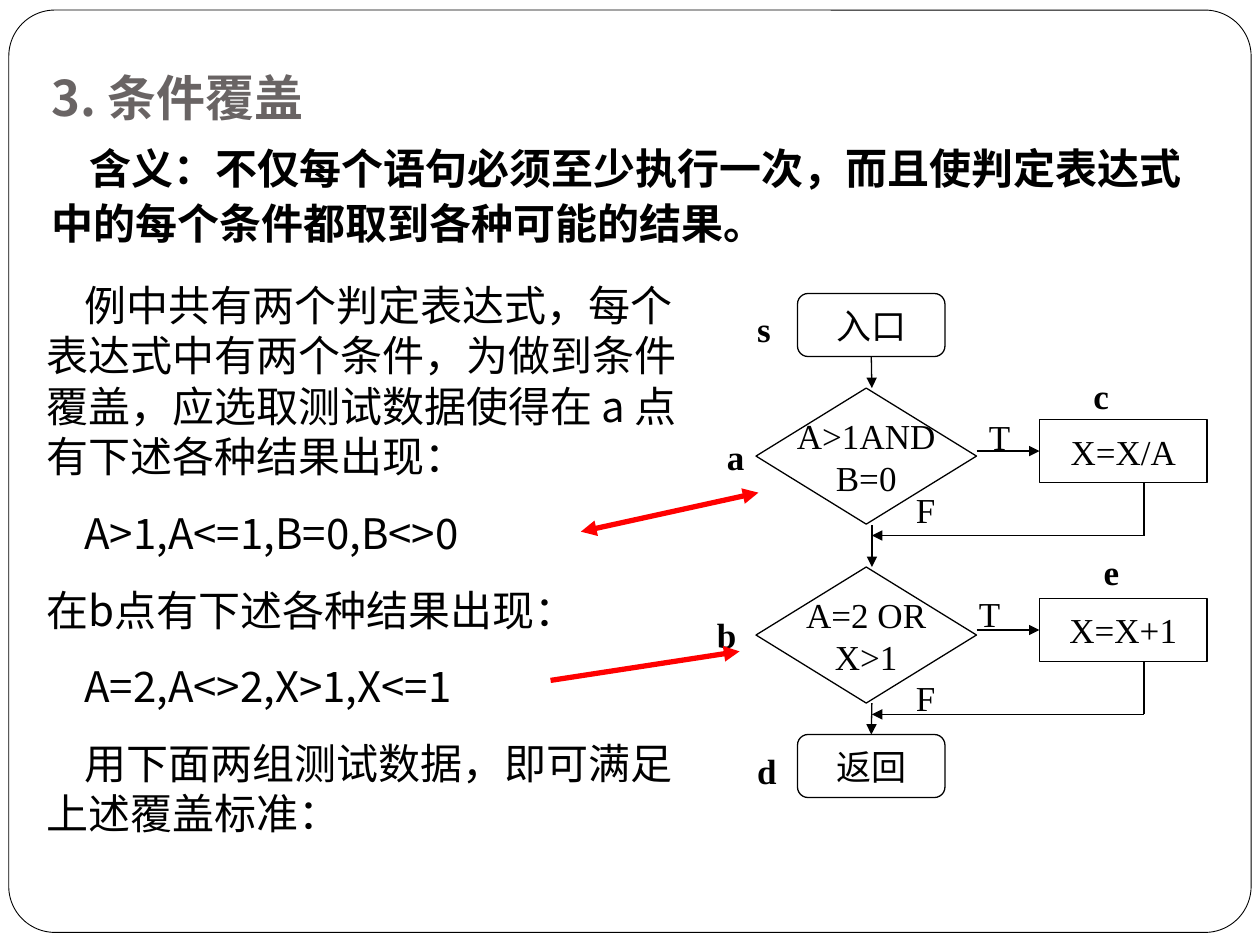
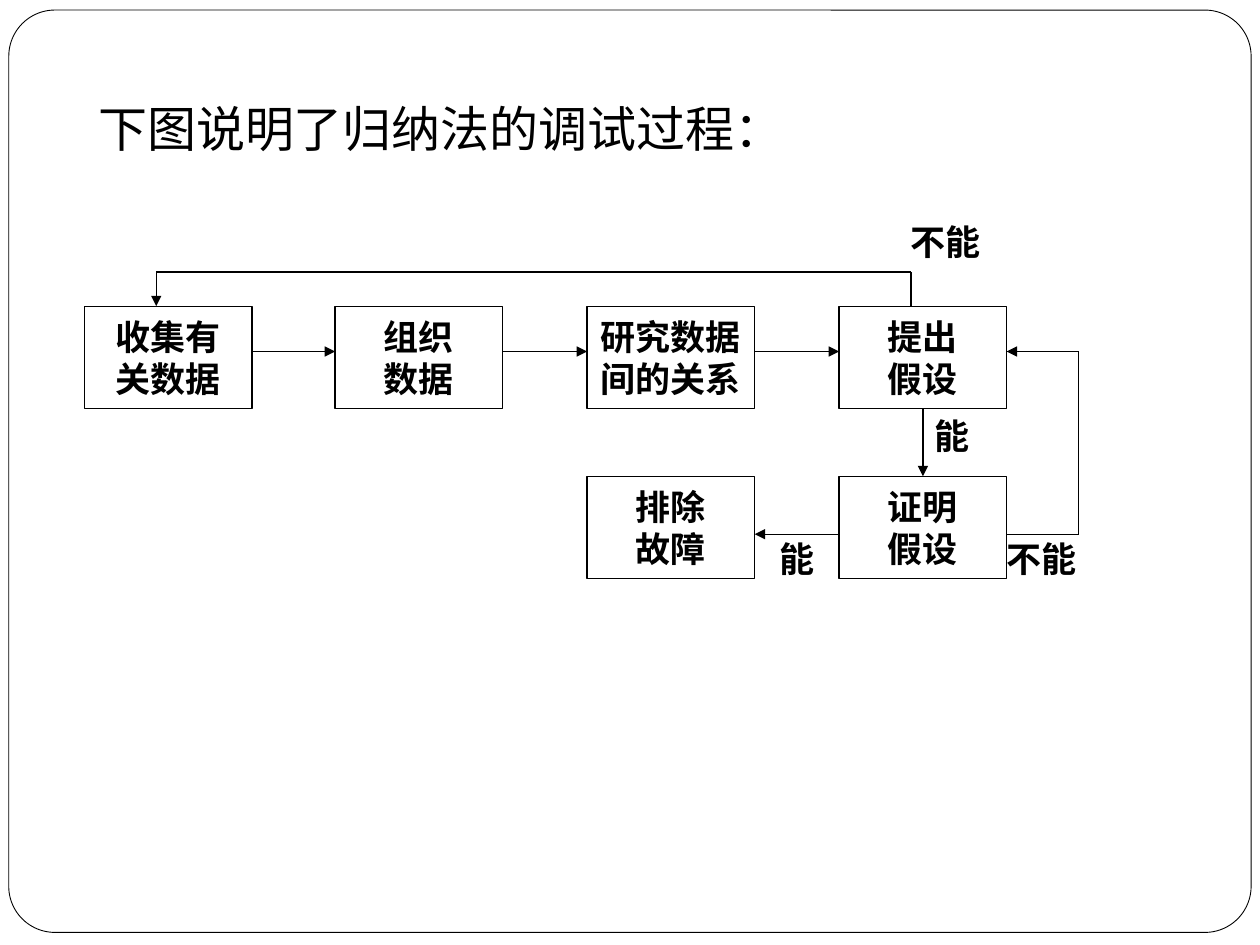
from dataclasses import dataclass
from typing import Optional

import pptx
import pptx.dml.color
import pptx.enum.shapes
import pptx.enum.text
import pptx.oxml
import pptx.oxml.ns
import pptx.util

Inches = pptx.util.Inches
Pt = pptx.util.Pt
MSO = pptx.enum.shapes.MSO_SHAPE
ALIGN = pptx.enum.text.PP_ALIGN
ANCHOR = pptx.enum.text.MSO_ANCHOR

COLORS = {"ink": "000000", "paper": "FFFFFF", "heading": "696464", "pointer": "FF0000"}
SANS = "Noto Sans CJK SC"
SERIF = "Times New Roman"
TOP, LEFT, BOTTOM = 0, 1, 2


@dataclass(frozen=True)
class Style:
    size: float
    font: str = SANS
    bold: bool = False
    color: str = "ink"
    align: ALIGN = ALIGN.LEFT
    line_spacing: Optional[float] = None
    space_before: float = 0
    indent: float = 0


@dataclass(frozen=True)
class Node:
    text: str
    left: float
    top: float
    width: float
    height: float
    shape: MSO = MSO.RECTANGLE


@dataclass(frozen=True)
class Label:
    text: str
    left: float
    top: float
    width: float
    height: float = 0.44


@dataclass(frozen=True)
class Line:
    x1: float
    y1: float
    x2: float
    y2: float
    arrow: bool = True
    start: Optional[str] = None
    end: Optional[str] = None
    end_site: int = TOP
    color: str = "ink"
    weight: float = 0.75
    double: bool = False


NODE = Style(20, SERIF, align=ALIGN.CENTER)
NODE_BOLD = Style(20, SERIF, True, align=ALIGN.CENTER)
LABEL = Style(20, SERIF)
LABEL_BOLD = Style(20, SERIF, True)


def rgb(name: str) -> pptx.dml.color.RGBColor:
    return pptx.dml.color.RGBColor.from_string(COLORS[name])


def write(shape, text: str, style: Style, wrap: bool = True, anchor: ANCHOR = ANCHOR.TOP) -> None:
    """Fill a shape with one paragraph per line of text."""
    tf = shape.text_frame
    frame_format = {
        "word_wrap": wrap, "vertical_anchor": anchor,
        "auto_size": pptx.enum.text.MSO_AUTO_SIZE.NONE,
        "margin_left": Inches(0.1), "margin_right": Inches(0.1),
        "margin_top": Inches(0.05), "margin_bottom": Inches(0.05),
    }
    for name, value in frame_format.items():
        setattr(tf, name, value)
    for i, line in enumerate(text.split("\n")):
        p = tf.add_paragraph() if i else tf.paragraphs[0]
        p.alignment = style.align
        p.line_spacing = style.line_spacing
        if i and style.space_before:
            p.space_before = Pt(style.space_before)
        if style.indent and not line.startswith("在"):
            p._p.get_or_add_pPr().set("indent", str(Inches(style.indent)))
        r = p.add_run()
        r.text = line
        font_format = {"size": Pt(style.size), "bold": style.bold, "name": style.font}
        for name, value in font_format.items():
            setattr(r.font, name, value)
        r.font.color.rgb = rgb(style.color)
        ea = pptx.oxml.parse_xml(f'<a:ea {pptx.oxml.ns.nsdecls("a")} typeface="{SANS}"/>')
        r._r.get_or_add_rPr().append(ea)


def add_box(s, node: Node, weight: float = 0.75):
    sp = s.shapes.add_shape(node.shape, Inches(node.left), Inches(node.top),
                            Inches(node.width), Inches(node.height))
    sp.shadow.inherit = False
    sp.fill.solid()
    sp.fill.fore_color.rgb = rgb("paper")
    sp.line.color.rgb = rgb("ink")
    sp.line.width = Pt(weight)
    return sp


def add_text(s, label: Label, style: Style) -> None:
    tb = s.shapes.add_textbox(Inches(label.left), Inches(label.top),
                              Inches(label.width), Inches(label.height))
    write(tb, label.text, style)


def add_line(s, line: Line, boxes: dict) -> None:
    cx = s.shapes.add_connector(pptx.enum.shapes.MSO_CONNECTOR.STRAIGHT,
                                Inches(line.x1), Inches(line.y1),
                                Inches(line.x2), Inches(line.y2))
    if line.start:
        cx.begin_connect(boxes[line.start], BOTTOM)
    if line.end:
        cx.end_connect(boxes[line.end], line.end_site)
    cx.line.color.rgb = rgb(line.color)
    cx.line.width = Pt(line.weight)
    spPr = cx.element.spPr
    ln = spPr.find(pptx.oxml.ns.qn("a:ln"))
    ns = pptx.oxml.ns.nsdecls("a")
    for tag, shown in (("headEnd", line.double), ("tailEnd", line.arrow)):
        if shown:
            ln.append(pptx.oxml.parse_xml(f'<a:{tag} {ns} type="triangle"/>'))
    spPr.append(pptx.oxml.parse_xml(f"<a:effectLst {ns}/>"))


def add_flowchart(s, nodes: list[Node], lines: list[Line], style: Style) -> None:
    boxes = {}
    for node in nodes:
        boxes[node.text] = add_box(s, node)
        write(boxes[node.text], node.text, style, wrap=False, anchor=ANCHOR.MIDDLE)
    for line in lines:
        add_line(s, line, boxes)


def add_titled_slide(prs, title: Label, style: Style):
    s = prs.slides.add_slide(prs.slide_layouts[5])
    sp = s.shapes.title
    for name in ("left", "top", "width", "height"):
        setattr(sp, name, Inches(getattr(title, name)))
    write(sp, title.text, style)
    return s


def frame_layout(s) -> None:
    """Put the rounded page frame on the layout, behind every slide."""
    frame = add_box(s, Node("", 0.07, 0.08, 9.86, 7.32, MSO.ROUNDED_RECTANGLE), 0.5)
    frame.adjustments[0] = 0.05
    s.slide_layout.shapes.element.insert(2, frame.element)


def build_condition_coverage(prs) -> None:
    s = add_titled_slide(prs, Label("3. 条件覆盖", 0.31, 0.44, 3.58, 0.62),
                         Style(28, bold=True, color="heading", line_spacing=1.1))
    frame_layout(s)

    terminal, decision, process = (MSO.FLOWCHART_ALTERNATE_PROCESS, MSO.FLOWCHART_DECISION,
                                   MSO.FLOWCHART_PROCESS)
    nodes = [
        Node("入口", 6.33, 2.33, 1.17, 0.5, terminal),
        Node("返回", 6.33, 5.83, 1.17, 0.5, terminal),
    ]
    trunk = 6.92
    lines = [
        Line(trunk, 2.83, trunk, 3.08, start="入口"),
        Line(trunk, 4.17, trunk, 4.5),
        Line(trunk, 5.58, trunk, 5.83, end="返回"),
    ]
    branches = [(3.08, "A>1AND\nB=0", "X=X/A"), (4.5, "A=2 OR\nX>1", "X=X+1")]
    for top, test, action in branches:
        nodes += [Node(test, 6, top, 1.75, 1.08, decision),
                  Node(action, 8.25, top + 0.25, 1.33, 0.5, process)]
        lines += [
            Line(7.75, top + 0.5, 8.25, top + 0.5, end=action, end_site=LEFT),
            Line(9.08, top + 0.75, 9.08, top + 1.17, arrow=False),
            Line(9.08, top + 1.17, trunk, top + 1.17),
        ]
    add_flowchart(s, nodes, lines, NODE)

    for label in (Label("T", 7.75, 3.25, 0.42), Label("F", 7.17, 3.83, 0.33),
                  Label("T", 7.67, 4.65, 0.33), Label("F", 7.17, 5.32, 0.33)):
        add_text(s, label, LABEL)
    for text, left, top in (("s", 5.91, 2.39), ("a", 5.67, 3.41), ("b", 5.59, 4.82),
                            ("d", 5.91, 5.9), ("c", 8.58, 2.92), ("e", 8.66, 4.32)):
        add_text(s, Label(text, left, top, 0.35), LABEL_BOLD)

    example = "\n".join([
        "例中共有两个判定表达式，每个表达式中有两个条件，为做到条件覆盖，应选取测试数据使得在 a 点有下述各种结果出现：",
        "A>1,A<=1,B=0,B<>0",
        "在b点有下述各种结果出现：",
        "A=2,A<>2,X>1,X<=1",
        "用下面两组测试数据，即可满足上述覆盖标准：",
    ])
    add_text(s, Label(example, 0.27, 2.17, 5.2, 4.54), Style(24, space_before=15, indent=0.3))
    meaning = "含义：不仅每个语句必须至少执行一次，而且使判定表达式中的每个条件都取到各种可能的结果。"
    add_text(s, Label(meaning, 0.31, 1.04, 9.33, 0.98),
             Style(24, bold=True, line_spacing=1.1, indent=0.3))
    add_line(s, Line(4.61, 4.22, 6.02, 3.91, color="pointer", weight=3, double=True), {})
    add_line(s, Line(4.37, 5.4, 5.87, 5.17, color="pointer", weight=3), {})


def build_induction_debugging(prs) -> None:
    s = add_titled_slide(prs, Label("下图说明了归纳法的调试过程：", 0.33, 0.73, 9.33, 0.57),
                         Style(28, indent=0.35))
    width, height = 1.33, 0.81
    columns = [0.67 + 2 * i - 0.01 * (i > 0) for i in range(4)]
    top_row, bottom_row = 2.43, 3.78
    steps = ["收集有\n关数据", "组织\n数据", "研究数据\n间的关系", "提出\n假设"]
    propose, prove = steps[-1], "证明\n假设"
    nodes = [Node(text, x, top_row, width, height) for text, x in zip(steps, columns)]
    nodes += [Node("排除\n故障", columns[2], bottom_row, width, height),
              Node(prove, columns[3], bottom_row, width, height)]

    right, loop_x, loop_y = columns[3] + width, 8.56, 2.16
    top_y, bottom_y = 2.79, 4.24
    lines = [Line(x + width, top_y, following, top_y)
             for x, following in zip(columns, columns[1:])]
    lines += [
        Line(7.32, top_row + height, 7.32, bottom_row, start=propose, end=prove),
        Line(columns[3], bottom_y, columns[2] + width, bottom_y),
        Line(1.24, loop_y, 1.24, top_row),
        Line(1.24, loop_y, 7.23, loop_y, arrow=False),
        Line(7.23, loop_y, 7.23, top_row, arrow=False),
        Line(right, bottom_y, loop_x, bottom_y, arrow=False),
        Line(loop_x, bottom_y, loop_x, top_y, arrow=False),
        Line(loop_x, top_y, right, top_y),
    ]
    add_flowchart(s, nodes, lines, NODE_BOLD)
    for label in (Label("不能", 7.13, 1.7, 1.05), Label("不能", 7.89, 4.22, 1.05),
                  Label("能", 7.32, 3.24, 0.76), Label("能", 6.09, 4.22, 0.76)):
        add_text(s, label, LABEL_BOLD)


def main() -> None:
    prs = pptx.Presentation()
    prs.slide_width, prs.slide_height = Inches(10), Inches(7.5)
    build_condition_coverage(prs)
    build_induction_debugging(prs)
    prs.save("out.pptx")


if __name__ == "__main__":
    main()
